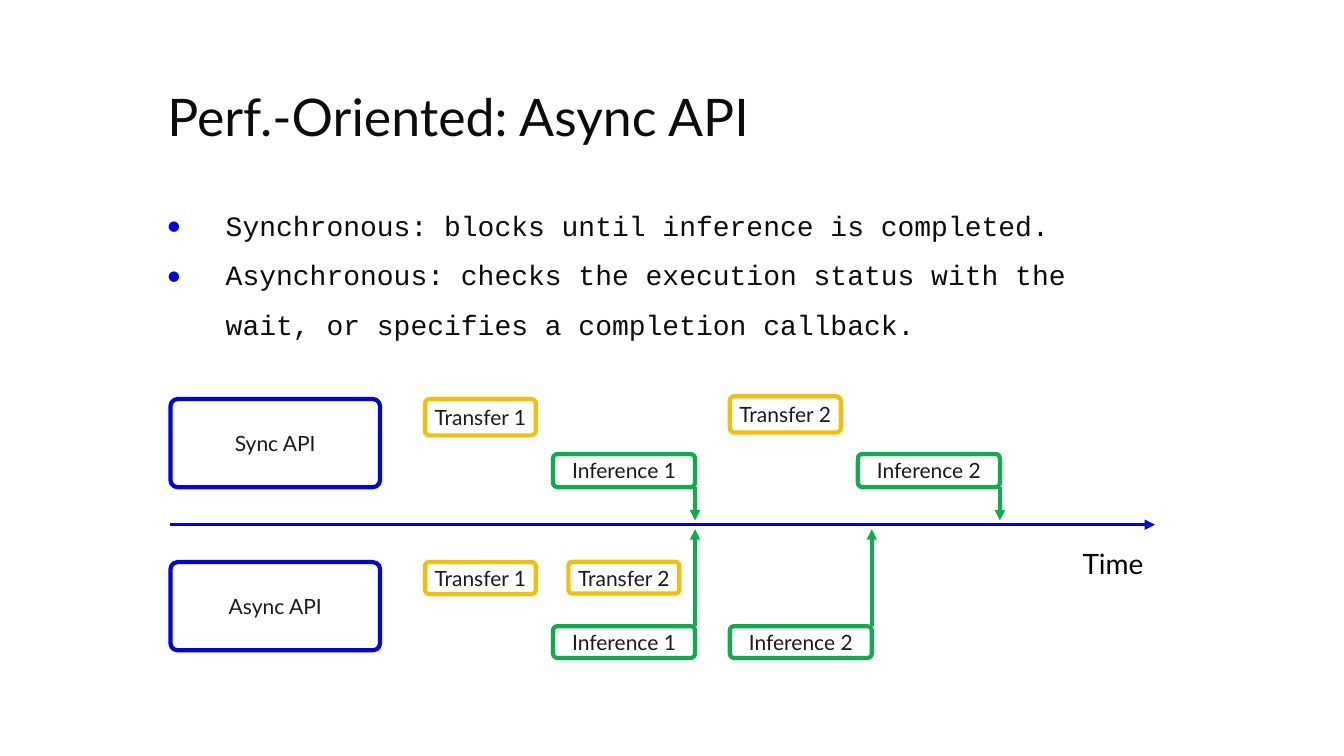
from pptx import Presentation
from pptx.dml.color import RGBColor as RGB
from pptx.enum.shapes import MSO_CONNECTOR as CON, MSO_SHAPE as SHP
from pptx.enum.text import MSO_ANCHOR as ANC, PP_ALIGN as AL
from pptx.oxml.ns import qn
from pptx.util import Pt
from lxml.etree import SubElement as Sub

HUE = {"blue": "0005DF", "gold": "FBBC04", "green": "0CAD4D",
       "white": "FFFFFF", "label": "1A1A1A", "text": "0C0C0C", "black": "000000"}

deck = Presentation()
deck.slide_width, deck.slide_height = Pt(1920), Pt(1080)
slide = deck.slides.add_slide(deck.slide_layouts[6])
shapes = slide.shapes


def write(shape, text, size, hue, face="Lato", anchor=ANC.TOP, left=0, top=0):
    frame = shape.text_frame
    frame.word_wrap = True
    frame.vertical_anchor = anchor
    frame.margin_left, frame.margin_top = Pt(left), Pt(top)
    frame.margin_right = frame.margin_bottom = 0
    frame.text = text
    for para in frame.paragraphs:
        for run in para.runs:
            run.font.size, run.font.name = Pt(size), face
            run.font.color.rgb = RGB.from_string(HUE[hue])
    return frame


def arrow(x1, y1, x2, y2, hue):
    link = shapes.add_connector(CON.STRAIGHT, Pt(x1), Pt(y1), Pt(x2), Pt(y2))
    link.line.color.rgb = RGB.from_string(HUE[hue])
    link.line.width = Pt(5)
    Sub(link.line._get_or_add_ln(), qn("a:tailEnd"), type="triangle")
    Sub(link._element.spPr, qn("a:effectLst"))


# Title
title = shapes.add_textbox(Pt(239), Pt(121), Pt(1442), Pt(88))
write(title, "Perf.-Oriented: Async API", 74, "text")

# Bullets
notes = shapes.add_textbox(Pt(208), Pt(271.5), Pt(1442), Pt(222.5))
frame = write(notes, "Synchronous: blocks until inference is completed.\n"
              "Asynchronous: checks the execution status with the wait, "
              "or specifies a completion callback.",
              40, "text", "Courier New", left=28.8, top=3)
for para in frame.paragraphs:
    para.line_spacing = 1.48
    props = para._p.get_or_add_pPr()
    props.set("marL", str(Pt(85.7)))
    props.set("indent", str(-Pt(85.7)))
    Sub(Sub(props, qn("a:buClr")), qn("a:srgbClr"), val=HUE["blue"])
    Sub(props, qn("a:buFont"), typeface="Lato")
    Sub(props, qn("a:buChar"), char="•")

# Time axis
arrow(243.5, 749.5, 1650, 749.5, "blue")
axis = shapes.add_textbox(Pt(1546.5), Pt(777.5), Pt(104), Pt(51))
write(axis, "Time", 40, "black", anchor=ANC.BOTTOM)

# Calls above and below the axis: kind -> width, colour, corner
kinds = {"API": (299.5, "blue", 0.082),
         "Transfer": (158.5, "gold", 0.128),
         "Inference": (203, "green", 0.139)}
boxes = [
    ("API", "Sync API", 243.5, 570, 126),
    ("Transfer", "Transfer 1", 607, 570, 52),
    ("Inference", "Inference 1", 790, 648.5, 47.5),
    ("Transfer", "Transfer 2", 1042.5, 566, 52),
    ("Inference", "Inference 2", 1225.5, 648.5, 47.5),
    ("API", "Async API", 243.5, 803, 126),
    ("Transfer", "Transfer 1", 607, 803, 45.5),
    ("Transfer", "Transfer 2", 812, 802.5, 45.5),
    ("Inference", "Inference 1", 790, 894.5, 45.5),
    ("Inference", "Inference 2", 1042.5, 894.5, 45.5),
]
for kind, text, x, y, high in boxes:
    wide, hue, curve = kinds[kind]
    box = shapes.add_shape(SHP.ROUNDED_RECTANGLE, Pt(x), Pt(y), Pt(wide), Pt(high))
    box.adjustments[0] = curve
    box.shadow.inherit = False
    box.fill.solid()
    box.fill.fore_color.rgb = RGB.from_string(HUE["white"])
    box.line.color.rgb = RGB.from_string(HUE[hue])
    box.line.width = Pt(6)
    frame = write(box, text, 30, "label", anchor=ANC.MIDDLE)
    frame.paragraphs[0].alignment = AL.CENTER

    # Each inference ends with an arrow from its right corner to the axis
    if kind == "Inference":
        end = x + wide
        if y < 749.5:
            arrow(end, y + high, end, 743.5, hue)
        else:
            arrow(end, y, end, 756, hue)

deck.save("out.pptx")
